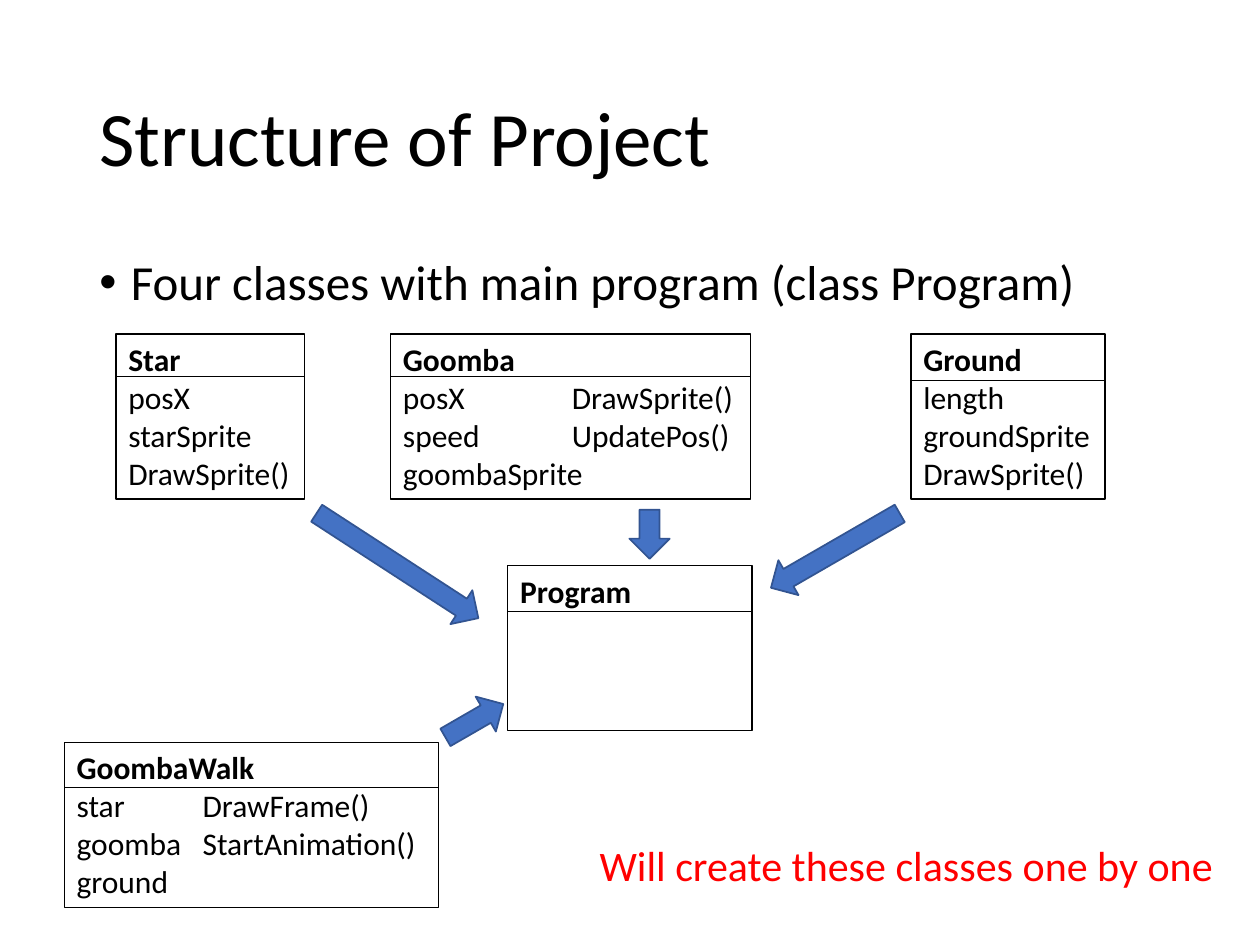
from lxml import etree
from pptx import Presentation
from pptx.dml.color import RGBColor
from pptx.enum.shapes import MSO_CONNECTOR, MSO_SHAPE
from pptx.enum.text import MSO_ANCHOR, PP_ALIGN
from pptx.oxml.ns import qn
from pptx.util import Inches, Pt

RECTANGLE, ARROW = MSO_SHAPE.RECTANGLE, MSO_SHAPE.RIGHT_ARROW
STRAIGHT = MSO_CONNECTOR.STRAIGHT
LEFT, TOP, MIDDLE = PP_ALIGN.LEFT, MSO_ANCHOR.TOP, MSO_ANCHOR.MIDDLE
BLACK = RGBColor(0, 0, 0)
RED = RGBColor(0xFF, 0, 0)
BLUE = RGBColor(0x44, 0x72, 0xC4)
DARK_BLUE = RGBColor(0x32, 0x54, 0x91)
FONT = "Calibri"

# Content
TITLE = "Structure of Project"
BULLET = "Four classes with main program (class Program)"
NOTE = "Will create these classes one by one"

# Class boxes: name, members, left, top, width, header height, tab stop
CLASS_ROW, CLASS_HEIGHT = 2.65, 1.31
CLASSES = [
    ("Goomba", ["posX\tDrawSprite()", "speed\tUpdatePos()", "goombaSprite"],
     3.1, CLASS_ROW, 2.86, 0.34, 1.34),
    ("Ground", ["length", "groundSprite", "DrawSprite()"],
     7.23, CLASS_ROW, 1.54, 0.37, None),
    ("Star", ["posX", "starSprite", "DrawSprite()"],
     0.92, CLASS_ROW, 1.5, 0.34, None),
    ("GoombaWalk", ["star\tDrawFrame()", "goomba\tStartAnimation()", "ground"],
     0.51, 5.89, 2.97, 0.36, 1.0),
    ("Program", [], 4.03, 4.49, 1.94, 0.36, None),
]

# Arrows to Program: left, top, length, rotation
ARROW_THICKNESS = 0.32
ARROWS = [(2.39, 4.33, 1.53, 33), (4.96, 4.08, 0.39, 90),
          (6.04, 4.21, 1.18, 150), (3.5, 5.56, 0.53, 330)]


def style(para, size, color=BLACK, bold=False):
    para.alignment = LEFT
    para.font.name = FONT
    para.font.size = Pt(size)
    para.font.bold = bold
    para.font.color.rgb = color


def add_text(slide, text, place, size, color=BLACK, anchor=TOP, spacing=1.0):
    box = slide.shapes.add_textbox(*map(Inches, place))
    frame = box.text_frame
    frame.word_wrap = True
    frame.vertical_anchor = anchor
    para = frame.paragraphs[0]
    para.text = text
    para.line_spacing = spacing
    style(para, size, color)
    return para


def add_bullet(para, indent):
    properties = para._p.get_or_add_pPr()
    properties.set("marL", str(Inches(indent)))
    properties.set("indent", str(-Inches(indent)))
    font = etree.Element(qn("a:buFont"), typeface="Arial")
    mark = etree.Element(qn("a:buChar"), char="•")
    # Bullet elements come before the default run properties
    defaults = properties.find(qn("a:defRPr"))
    defaults.addprevious(font)
    defaults.addprevious(mark)


def add_tab(para, position):
    tabs = etree.SubElement(para._p.get_or_add_pPr(), qn("a:tabLst"))
    etree.SubElement(tabs, qn("a:tab"), pos=str(Inches(position)), algn="l")


def add_class(slide, name, members, left, top, width, header, tab):
    box = slide.shapes.add_shape(
        RECTANGLE, *map(Inches, (left, top, width, CLASS_HEIGHT)))
    box.shadow.inherit = False
    box.fill.background()
    box.line.color.rgb = BLACK
    box.line.width = Pt(0.75)
    frame = box.text_frame
    frame.word_wrap = True
    frame.vertical_anchor = TOP
    frame.margin_right = 0
    for index, text in enumerate([name] + members):
        para = frame.add_paragraph() if index else frame.paragraphs[0]
        para.text = text
        if "\t" in text:
            add_tab(para, tab)
        style(para, 18, bold=index == 0)

    # Line under the class name
    level = top + header
    divider = slide.shapes.add_connector(
        STRAIGHT, *map(Inches, (left, level, left + width, level)))
    divider.line.color.rgb = BLACK
    divider.line.width = Pt(0.5)
    etree.SubElement(divider._element.spPr, qn("a:effectLst"))


def add_arrow(slide, left, top, length, rotation):
    arrow = slide.shapes.add_shape(
        ARROW, *map(Inches, (left, top, length, ARROW_THICKNESS)))
    arrow.rotation = rotation
    arrow.shadow.inherit = False
    arrow.fill.solid()
    arrow.fill.fore_color.rgb = BLUE
    arrow.line.color.rgb = DARK_BLUE
    arrow.line.width = Pt(1)


def main():
    deck = Presentation()
    deck.slide_width, deck.slide_height = Inches(10), Inches(7.5)
    slide = deck.slides.add_slide(deck.slide_layouts[6])

    add_text(slide, TITLE, (0.69, 0.4, 8.62, 1.45), 44, anchor=MIDDLE, spacing=0.9)
    bullet = add_text(slide, BULLET, (0.69, 2, 8.62, 4.76), 28, spacing=0.9)
    add_bullet(bullet, 0.25)
    for entry in CLASSES:
        add_class(slide, *entry)
    for entry in ARROWS:
        add_arrow(slide, *entry)
    add_text(slide, NOTE, (4.66, 6.61, 5.12, 0.5), 24, RED)

    deck.save("out.pptx")


if __name__ == "__main__":
    main()
